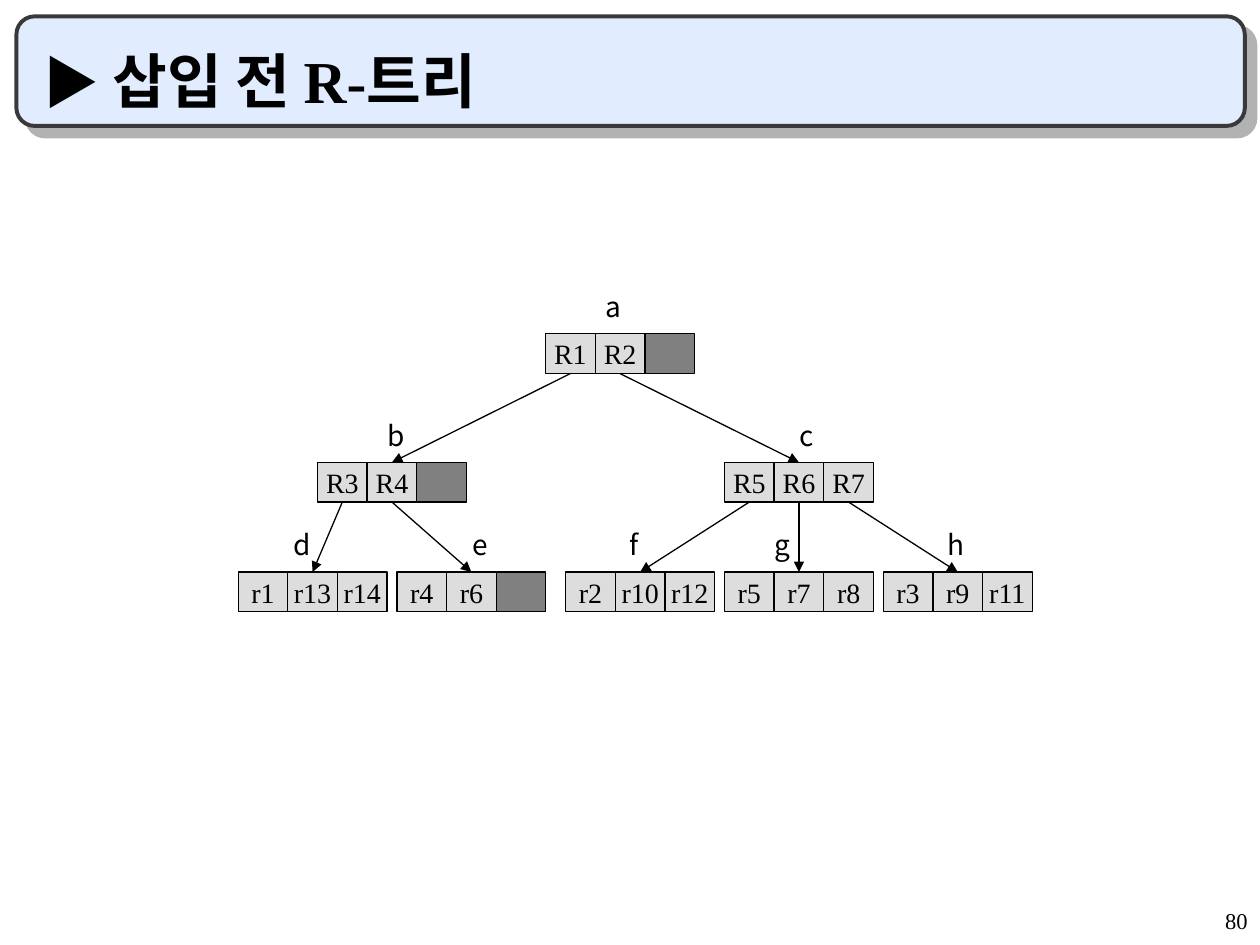
from lxml.etree import SubElement
from pptx import Presentation
from pptx.dml.color import RGBColor
from pptx.enum.shapes import MSO_CONNECTOR as Connector, MSO_SHAPE as Shape
from pptx.enum.text import MSO_ANCHOR as Anchor, PP_ALIGN as Align
from pptx.oxml.ns import qn
from pptx.util import Inches, Pt

BLACK = RGBColor(0x00, 0x00, 0x00)
BANNER_FILL = RGBColor(0xE1, 0xEC, 0xFF)
BANNER_LINE = RGBColor(0x39, 0x39, 0x39)
ENTRY_FILL = RGBColor(0xDD, 0xDD, 0xDD)
EMPTY_FILL = RGBColor(0x80, 0x80, 0x80)
SERIF = "Times New Roman"
SANS = "Noto Sans CJK KR"

CELL_W, CELL_H = 0.394, 0.315
LABEL_W, LABEL_H = 1.18, 0.37
ROOT_Y, BRANCH_Y, LEAF_Y = 2.65, 3.67, 4.54

# name: (left, top, entries, centre of the label)
NODES = {
    "a": (4.33, ROOT_Y, ["R1", "R2", ""], 4.87),
    "b": (2.52, BRANCH_Y, ["R3", "R4", ""], 3.14),
    "c": (5.75, BRANCH_Y, ["R5", "R6", "R7"], 6.4),
    "d": (1.89, LEAF_Y, ["r1", "r13", "r14"], 2.4),
    "e": (3.15, LEAF_Y, ["r4", "r6", ""], 3.81),
    "f": (4.49, LEAF_Y, ["r2", "r10", "r12"], 5.03),
    "g": (5.75, LEAF_Y, ["r5", "r7", "r8"], 6.21),
    "h": (7.01, LEAF_Y, ["r3", "r9", "r11"], 7.59),
}
# (parent, entry index, child)
BRANCHES = [("a", 0, "b"), ("a", 1, "c"), ("b", 0, "d"), ("b", 1, "e"),
            ("c", 0, "f"), ("c", 1, "g"), ("c", 2, "h")]


def write(frame, *runs, font=SERIF, bold=False, align=Align.CENTER,
          anchor=Anchor.TOP, wrap=True, spacing=None):
    """Write (text, size) runs into the first paragraph of a frame."""
    frame.word_wrap = wrap
    frame.vertical_anchor = anchor
    paragraph = frame.paragraphs[0]
    paragraph.alignment = align
    paragraph.line_spacing = spacing
    for text, size in runs:
        run = paragraph.add_run()
        run.text = text
        run.font.name = font
        run.font.size = Pt(size)
        run.font.bold = bold
        run.font.color.rgb = BLACK
        SubElement(run.font._element, qn("a:ea"), typeface=SANS)


def add_text(slide, left, top, width, height, *runs, **style):
    box = slide.shapes.add_textbox(
        Inches(left), Inches(top), Inches(width), Inches(height))
    write(box.text_frame, *runs, **style)
    return box


def add_box(slide, kind, left, top, width, height, fill, line, weight):
    box = slide.shapes.add_shape(
        kind, Inches(left), Inches(top), Inches(width), Inches(height))
    box.shadow.inherit = False
    box.fill.solid()
    box.fill.fore_color.rgb = fill
    box.line.color.rgb = line
    box.line.width = Pt(weight)
    return box


def add_banner(slide):
    banner = add_box(slide, Shape.ROUNDED_RECTANGLE, 0.13, 0.13, 9.75, 0.87,
                     BANNER_FILL, BANNER_LINE, 2.25)
    effects = banner._element.spPr.find(qn("a:effectLst"))
    shadow = SubElement(effects, qn("a:outerShdw"), blurRad="0",
                        dist=str(Pt(8.5)), dir="2700000", algn="tl",
                        rotWithShape="0")
    SubElement(shadow, qn("a:srgbClr"), val="B2B2B2")


def add_node(slide, name):
    left, top, entries, label_centre = NODES[name]
    for index, entry in enumerate(entries):
        cell = add_box(slide, Shape.RECTANGLE, left + index * CELL_W, top,
                       CELL_W, CELL_H, ENTRY_FILL if entry else EMPTY_FILL,
                       BLACK, 0.75)
        if entry:
            write(cell.text_frame, (entry, 16), anchor=Anchor.MIDDLE,
                  wrap=False)
    add_text(slide, label_centre - LABEL_W / 2, top - 0.4, LABEL_W, LABEL_H,
             (name, 16), font=SANS)


def add_branch(slide, parent, index, child):
    parent_left, parent_top = NODES[parent][:2]
    child_left, child_top = NODES[child][:2]
    arrow = slide.shapes.add_connector(
        Connector.STRAIGHT,
        Inches(parent_left + (index + 0.5) * CELL_W),
        Inches(parent_top + CELL_H),
        Inches(child_left + 1.5 * CELL_W), Inches(child_top))
    arrow.line.color.rgb = BLACK
    arrow.line.width = Pt(0.75)
    SubElement(arrow.line._get_or_add_ln(), qn("a:tailEnd"), type="triangle")
    SubElement(arrow._element.spPr, qn("a:effectLst"))


def main():
    deck = Presentation()
    deck.slide_width, deck.slide_height = Inches(10), Inches(7.5)
    slide = deck.slides.add_slide(deck.slide_layouts[6])

    # Title banner
    add_banner(slide)
    title = add_text(slide, 0.25, 0.25, 9.42, 0.67,
                     ("▶ ", 32), ("삽입 전 R-트리", 34), bold=True,
                     align=Align.LEFT, anchor=Anchor.BOTTOM)
    title.text_frame.margin_top = title.text_frame.margin_bottom = 0

    # Tree
    for name in NODES:
        add_node(slide, name)
    for branch in BRANCHES:
        add_branch(slide, *branch)

    # Page number
    add_text(slide, 7.92, 7.17, 2.08, 0.33, ("80", 12.9),
             align=Align.RIGHT, spacing=0.9)

    deck.save("out.pptx")


if __name__ == "__main__":
    main()
